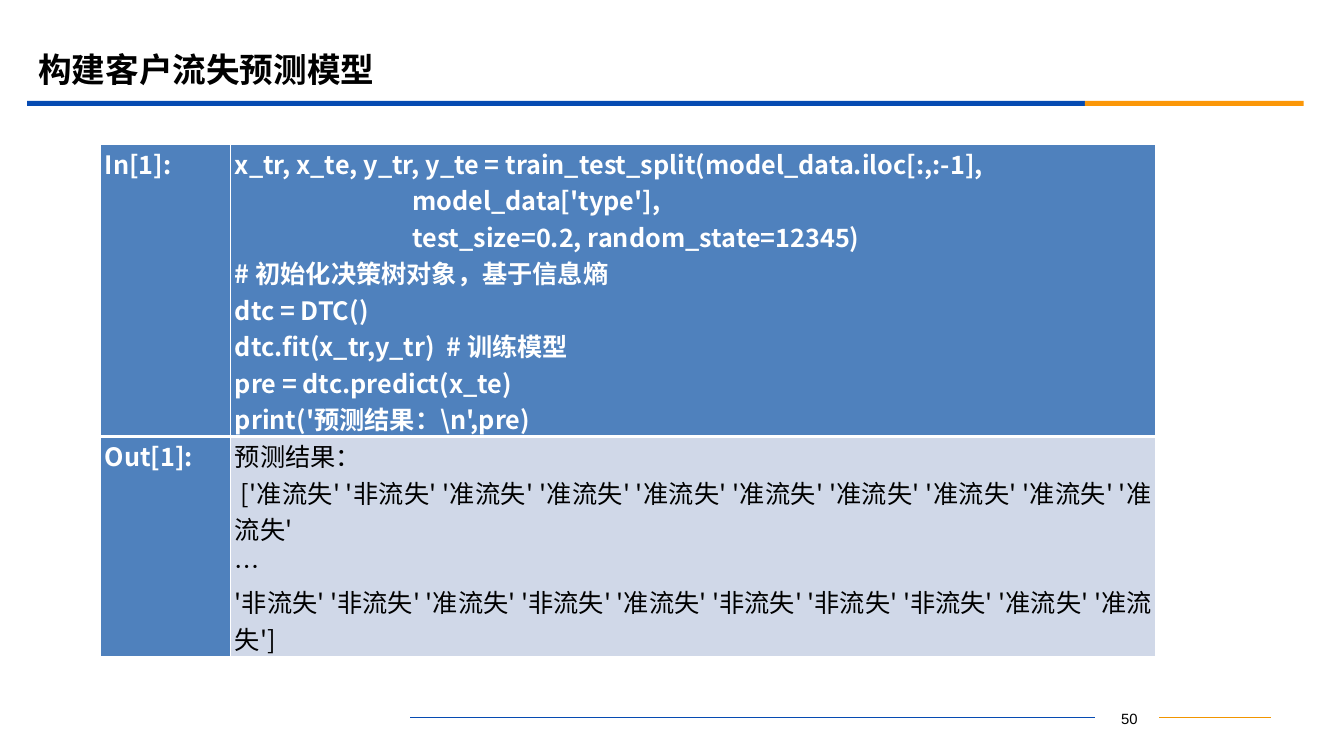
from lxml import etree
from pptx import Presentation
from pptx.dml.color import RGBColor
from pptx.enum.shapes import MSO_CONNECTOR, MSO_SHAPE
from pptx.enum.text import MSO_ANCHOR, PP_ALIGN
from pptx.oxml.ns import qn
from pptx.util import Inches, Pt

LINE, RECT = MSO_CONNECTOR.STRAIGHT, MSO_SHAPE.RECTANGLE
TOP, MIDDLE = MSO_ANCHOR.TOP, MSO_ANCHOR.MIDDLE
LEFT, CENTER, JUSTIFY = PP_ALIGN.LEFT, PP_ALIGN.CENTER, PP_ALIGN.JUSTIFY

TITLE = "构建客户流失预测模型"
PAGE = "50"
CODE = """x_tr, x_te, y_tr, y_te = train_test_split(model_data.iloc[:,:-1],
                               model_data['type'],
                               test_size=0.2, random_state=12345)
# 初始化决策树对象，基于信息熵
dtc = DTC()
dtc.fit(x_tr,y_tr)  # 训练模型
pre = dtc.predict(x_te)
print('预测结果：\\n',pre)"""
RESULT = """预测结果：
 ['准流失' '非流失' '准流失' '准流失' '准流失' '准流失' '准流失' '准流失' '准流失' '准流失' 
…
'非流失' '非流失' '准流失' '非流失' '准流失' '非流失' '非流失' '非流失' '准流失' '准流失']"""

SANS = "Noto Sans CJK SC"
BLUE, ORANGE, WHITE, BLACK = "064BB2", "FB9708", "FFFFFF", "000000"
HEAD, PALE = "4F81BD", "D0D8E8"
LABEL = {"name": SANS, "size": Pt(18), "bold": True, "color": WHITE}
PLAIN = {**LABEL, "bold": False, "color": BLACK}
BIG = {**LABEL, "size": Pt(24), "color": BLACK}
SMALL = {"name": "Arial", "size": Pt(10.6), "color": BLACK}

# text, anchor, fill, format
CELLS = [
    [("In[1]:", TOP, HEAD, LABEL), (CODE, MIDDLE, HEAD, LABEL)],
    [("Out[1]:", TOP, HEAD, LABEL), (RESULT, MIDDLE, PALE, PLAIN)],
]
COLS, ROWS = (1.29, 9.17), (2.9, 2.18)
BARS = [(0.27, 10.49, BLUE), (10.76, 2.17, ORANGE)]
RULES = [(4.07, 10.86, BLUE), (11.5, 12.61, "F19500")]


def rgb(code):
    return RGBColor.from_string(code)


def write(frame, text, form, align):
    frame.text = text
    for para in frame.paragraphs:
        para.alignment = align
        for run in para.runs:
            for key, value in form.items():
                if key == "color":
                    run.font.color.rgb = rgb(value)
                else:
                    setattr(run.font, key, value)
            east = etree.SubElement(run.font._element, qn("a:ea"))
            east.set("typeface", form["name"])


def edge(cell, widths):
    """Draw white borders, given in points by side."""
    props = cell._tc.get_or_add_tcPr()
    for spot, (side, width) in enumerate(widths.items()):
        line = etree.Element(qn("a:ln" + side), w=str(Pt(width)))
        fill = etree.SubElement(line, qn("a:solidFill"))
        etree.SubElement(fill, qn("a:srgbClr"), val=WHITE)
        props.insert(spot, line)


def place(shape, left, top, width, height):
    shape.left, shape.top = Inches(left), Inches(top)
    shape.width, shape.height = Inches(width), Inches(height)


deck = Presentation()
deck.slide_width, deck.slide_height = Inches(13.33), Inches(7.5)
slide = deck.slides.add_slide(deck.slide_layouts[5])
shapes = slide.shapes

for left, width, color in BARS:
    bar = shapes.add_shape(RECT, Inches(left), Inches(1), Inches(width), Inches(0.05))
    bar.shadow.inherit = False
    bar.fill.solid()
    bar.fill.fore_color.rgb = rgb(color)
    bar.line.fill.background()

for start, end, color in RULES:
    rule = shapes.add_connector(LINE, Inches(start), Inches(7.12), Inches(end), Inches(7.12))
    rule.line.color.rgb = rgb(color)
    rule.line.width = Pt(0.75)
    etree.SubElement(rule._element.spPr, qn("a:effectLst"))

page = shapes.add_textbox(Inches(10.89), Inches(6.99), Inches(0.62), Inches(0.25))
page.text_frame.word_wrap = True
write(page.text_frame, PAGE, SMALL, CENTER)

title = shapes.title
place(title, 0.28, 0.4, 12, 0.58)
title.text_frame.vertical_anchor = MIDDLE
write(title.text_frame, TITLE, BIG, LEFT)

grid = shapes.add_table(2, 2, Inches(1), Inches(1.43), Inches(sum(COLS)), Inches(sum(ROWS))).table
for col, width in zip(grid.columns, COLS):
    col.width = Inches(width)
for r, (row, height) in enumerate(zip(grid.rows, ROWS)):
    row.height = Inches(height)
    for cell, (text, anchor, fill, form) in zip(row.cells, CELLS[r]):
        cell.margin_left = cell.margin_right = Inches(0.04)
        cell.margin_top = cell.margin_bottom = Inches(0.01)
        cell.vertical_anchor = anchor
        cell.fill.solid()
        cell.fill.fore_color.rgb = rgb(fill)
        write(cell.text_frame, text, form, JUSTIFY)
        edge(cell, {"L": 1, "R": 1, "T": 3 if r else 1, "B": 1 if r else 3})

deck.save("out.pptx")
